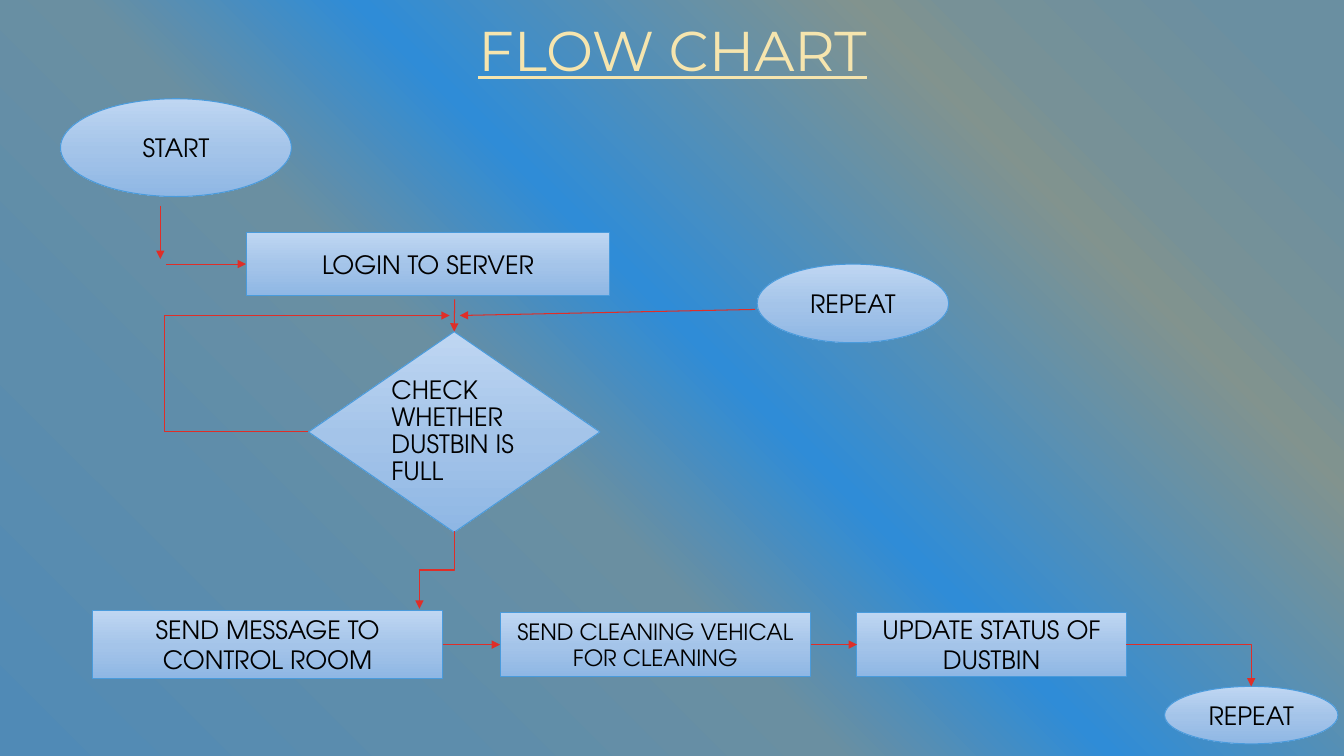
"""Build the dustbin monitoring flow chart slide."""
from dataclasses import dataclass
from typing import Optional

from lxml import etree
from pptx import Presentation
from pptx import util as u
from pptx.dml.color import RGBColor
from pptx.dml.fill import FillFormat
from pptx.enum import shapes, text
from pptx.oxml import ns
from pptx.shapes.autoshape import Shape
from pptx.slide import Slide

TITLE_COLOR = RGBColor(0xF6, 0xE5, 0xAE)
TEXT_COLOR = RGBColor(0x00, 0x00, 0x00)
BORDER_COLOR = RGBColor(0x4A, 0x9B, 0xDC)
ARROW_COLOR = RGBColor(0xDF, 0x2E, 0x28)
LINE_WIDTH = u.Pt(0.75)
STEP_FONT = "TeX Gyre Adventor"

Stops = list[tuple[int, RGBColor]]
Point = tuple[float, float]

STEP_STOPS: Stops = [
    (0, RGBColor(0xBF, 0xD6, 0xF2)),
    (52, RGBColor(0xA4, 0xC4, 0xE9)),
    (100, RGBColor(0x8F, 0xB7, 0xE4)),
]
PAGE_STOPS: Stops = [
    (5, RGBColor(0x6A, 0x8F, 0xA1)),
    (19, RGBColor(0x77, 0x91, 0x97)),
    (21, RGBColor(0x7D, 0x92, 0x92)),
    (22, RGBColor(0x80, 0x93, 0x8F)),
    (23, RGBColor(0x83, 0x93, 0x8D)),
    (23, RGBColor(0x82, 0x93, 0x8E)),
    (47, RGBColor(0x2F, 0x8C, 0xD7)),
    (60, RGBColor(0x6A, 0x8F, 0xA1)),
    (79, RGBColor(0x5D, 0x8D, 0xAC)),
    (99, RGBColor(0x50, 0x8A, 0xB6)),
]

OVAL = shapes.MSO_SHAPE.OVAL
BOX = shapes.MSO_SHAPE.RECTANGLE
DECISION = shapes.MSO_SHAPE.FLOWCHART_DECISION
TOP, LEFT, RIGHT = 0, 1, 3


@dataclass
class Step:
    key: str
    kind: shapes.MSO_SHAPE
    label: str
    left: float
    top: float
    width: float
    height: float
    size: int = 18
    align: text.PP_ALIGN = text.PP_ALIGN.CENTER
    spacing: float = 1.0


@dataclass
class Arrow:
    start: Point
    end: Point
    source: Optional[tuple[str, int]] = None
    target: Optional[tuple[str, int]] = None
    preset: Optional[str] = None
    adjust: Optional[int] = None
    turn: int = 0


STEPS = [
    Step("start", OVAL, "START", 0.6, 0.98, 2.29, 0.97),
    Step("login", BOX, "LOGIN TO SERVER", 2.44, 2.31, 3.61, 0.62),
    Step("check", DECISION, "CHECK WHETHER DUSTBIN IS FULL", 3.06, 3.29, 2.89, 1.99,
         align=text.PP_ALIGN.LEFT, spacing=0.9),
    Step("repeat in", OVAL, "REPEAT", 7.51, 2.62, 1.9, 0.78),
    Step("message", BOX, "SEND MESSAGE TO CONTROL ROOM", 0.92, 6.06, 3.47, 0.67),
    Step("cleaning", BOX, "SEND CLEANING VEHICAL FOR CLEANING", 4.96, 6.08, 3.08, 0.63, size=16),
    Step("update", BOX, "UPDATE STATUS OF DUSTBIN", 8.5, 6.08, 2.67, 0.63),
    Step("repeat out", OVAL, "REPEAT", 11.55, 6.81, 1.72, 0.57),
]

ARROWS = [
    Arrow((1.59, 2.04), (1.59, 2.57)),
    Arrow((4.51, 2.97), (4.51, 3.29), target=("check", TOP)),
    Arrow((1.65, 2.62), (2.44, 2.62), target=("login", LEFT)),
    Arrow((3.06, 4.28), (4.46, 3.13), preset="bentConnector3", adjust=-102300),
    Arrow((7.49, 3.07), (4.56, 3.13)),
    Arrow((3.95, 5.48), (4.72, 5.83), preset="bentConnector3", turn=90),
    Arrow((4.39, 6.39), (4.96, 6.39), ("message", RIGHT), ("cleaning", LEFT)),
    Arrow((8.04, 6.39), (8.5, 6.39), ("cleaning", RIGHT), ("update", LEFT)),
    Arrow((11.17, 6.39), (12.41, 6.81), preset="bentConnector2"),
]


def set_gradient(fill: FillFormat, owner: etree._Element, stops: Stops, angle: int) -> None:
    """Fill with a linear gradient whose angle runs clockwise."""
    fill.gradient()
    fill.gradient_angle = 360 - angle
    stop_list = owner.find(".//" + ns.qn("a:gsLst"))
    for stop in list(stop_list):
        stop_list.remove(stop)
    for position, color in stops:
        stop = etree.SubElement(stop_list, ns.qn("a:gs"), pos=str(position * 1000))
        etree.SubElement(stop, ns.qn("a:srgbClr"), val=str(color))


def add_title(page: Slide) -> None:
    """Add the underlined heading."""
    box = page.shapes.add_textbox(u.Inches(1.96), u.Inches(0.08), u.Inches(9.42), u.Inches(0.9))
    frame = box.text_frame
    frame.word_wrap = True
    frame.vertical_anchor = text.MSO_ANCHOR.MIDDLE
    para = frame.paragraphs[0]
    para.text = "FLOW CHART"
    para.alignment = text.PP_ALIGN.CENTER
    para.line_spacing = 0.9
    para.font.name = "Montserrat"
    para.font.size = u.Pt(40)
    para.font.underline = True
    para.font.color.rgb = TITLE_COLOR


def add_step(page: Slide, step: Step) -> Shape:
    """Add one labelled shape of the flow chart."""
    place = [u.Inches(length) for length in (step.left, step.top, step.width, step.height)]
    shape = page.shapes.add_shape(step.kind, *place)
    shape.shadow.inherit = False
    set_gradient(shape.fill, shape.element, STEP_STOPS, 90)
    shape.line.color.rgb = BORDER_COLOR
    shape.line.width = LINE_WIDTH
    frame = shape.text_frame
    frame.word_wrap = True
    frame.vertical_anchor = text.MSO_ANCHOR.MIDDLE
    para = frame.paragraphs[0]
    para.text = step.label
    para.alignment = step.align
    para.line_spacing = step.spacing
    para.font.name = STEP_FONT
    para.font.size = u.Pt(step.size)
    para.font.color.rgb = TEXT_COLOR
    return shape


def add_arrow(page: Slide, arrow: Arrow, drawn: dict[str, Shape]) -> None:
    """Add one straight or bent arrow."""
    kind = shapes.MSO_CONNECTOR.ELBOW if arrow.preset else shapes.MSO_CONNECTOR.STRAIGHT
    ends = [u.Inches(length) for length in arrow.start + arrow.end]
    connector = page.shapes.add_connector(kind, *ends)
    if arrow.source:
        connector.begin_connect(drawn[arrow.source[0]], arrow.source[1])
    if arrow.target:
        connector.end_connect(drawn[arrow.target[0]], arrow.target[1])
    connector.line.color.rgb = ARROW_COLOR
    connector.line.width = LINE_WIDTH
    properties = connector.element.spPr
    etree.SubElement(properties.find(ns.qn("a:ln")), ns.qn("a:tailEnd"), type="triangle")
    etree.SubElement(properties, ns.qn("a:effectLst"))
    geometry = properties.find(ns.qn("a:prstGeom"))
    if arrow.preset:
        geometry.set("prst", arrow.preset)
    if arrow.adjust is not None:
        guides = geometry.find(ns.qn("a:avLst"))
        etree.SubElement(guides, ns.qn("a:gd"), name="adj1", fmla=f"val {arrow.adjust}")
    if arrow.turn:
        properties.find(ns.qn("a:xfrm")).set("rot", str(arrow.turn * 60000))


def main() -> None:
    """Draw the slide and save the deck."""
    deck = Presentation()
    deck.slide_width = u.Inches(13.33)
    deck.slide_height = u.Inches(7.5)
    page = deck.slides.add_slide(deck.slide_layouts[6])
    set_gradient(page.background.fill, page.element, PAGE_STOPS, 135)
    add_title(page)
    drawn = {step.key: add_step(page, step) for step in STEPS}
    for arrow in ARROWS:
        add_arrow(page, arrow, drawn)
    deck.save("out.pptx")


if __name__ == "__main__":
    main()
